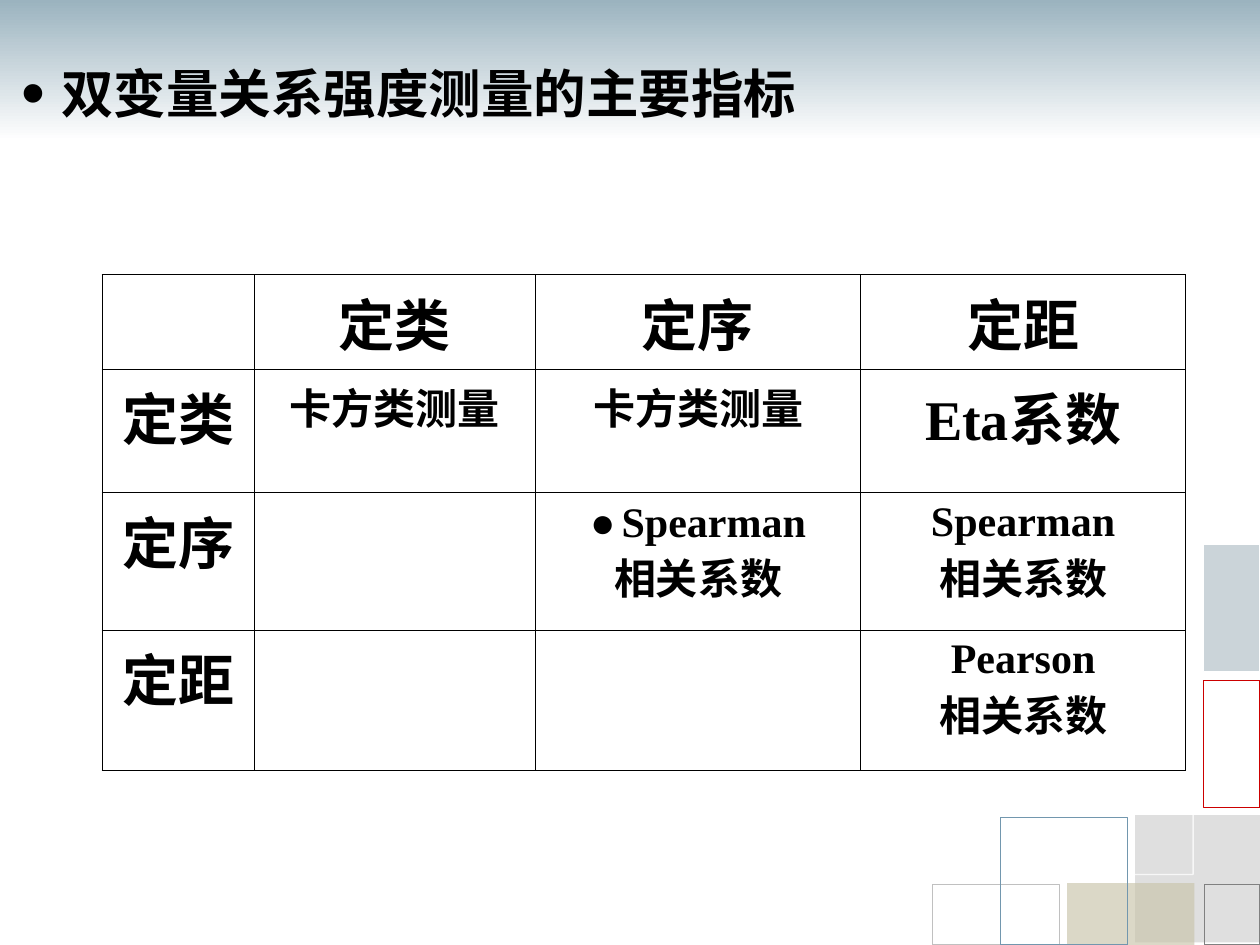
"""Build a slide with a table of measures of association between two variables."""
from lxml.etree import SubElement
from pptx import Presentation
from pptx.dml.color import RGBColor
from pptx.enum.shapes import MSO_SHAPE
from pptx.enum.text import MSO_ANCHOR, PP_ALIGN
from pptx.oxml.ns import qn
from pptx.util import Pt

HAN = "Noto Sans CJK SC"
ROMAN = "Times New Roman"
tone = RGBColor.from_string


def write(para, text, size=32, face=HAN):
    run = para.add_run()
    run.text = text
    font = run.font
    font.size, font.name, font.bold = Pt(size), face, True
    font.color.rgb = tone("000000")
    SubElement(font._element, qn("a:ea"), typeface=face)


def fade(fill, alpha):
    color = fill._xPr.find(qn("a:solidFill"))[0]
    SubElement(color, qn("a:alpha"), val=str(alpha * 1000))


deck = Presentation()
deck.slide_width, deck.slide_height = Pt(720), Pt(540)
slide = deck.slides.add_slide(deck.slide_layouts[6])
shapes = slide.shapes

# left, top, width, height, gradient, fill, fill alpha, line, line alpha, weight
boxes = [
    (-0.72, -0.72, 720, 80.64, ("FFFFFF", "C0CFD6"), None, 100, None, 100, 0),
    (0, 0, 720, 80.64, ("9BB3BF", "FFFFFF"), None, 100, None, 100, 0),
    (688.3, 505.4, 31.7, 34.6, None, None, 100, "808080", 100, 0.75),
    (648.7, 465.8, 72.7, 72.7, None, "808080", 25, None, 100, 0),
    (609.8, 504.7, 72.7, 35.3, None, "C9C5AB", 66, None, 100, 0),
    (687.6, 388.8, 32.4, 72.7, None, None, 100, "CC0000", 100, 0.79),
    (532.8, 505.4, 72.7, 34.6, None, None, 100, "C0C0C0", 100, 0.75),
    (609.1, 427, 72.7, 72.7, None, None, 100, "FFFFFF", 76, 0.75),
    (687.6, 311, 32.4, 72.7, None, "46667A", 28, "FFFFFF", 100, 0.75),
    (571.7, 467.3, 72.7, 72.7, None, None, 100, "7297AE", 100, 0.75),
]
for left, top, wide, high, blend, fill, clear, line, thin, weight in boxes:
    box = shapes.add_shape(MSO_SHAPE.RECTANGLE, Pt(left), Pt(top), Pt(wide), Pt(high))
    box.shadow.inherit = False
    if blend:
        box.fill.gradient()
        box.fill.gradient_angle = 270
        for stop, shade in zip(box.fill.gradient_stops, blend):
            stop.color.rgb = tone(shade)
    elif fill:
        box.fill.solid()
        box.fill.fore_color.rgb = tone(fill)
        fade(box.fill, clear)
    else:
        box.fill.background()
    if line:
        box.line.color.rgb = tone(line)
        box.line.width = Pt(weight)
        fade(box.line.fill, thin)
    else:
        box.line.fill.background()

title = shapes.add_textbox(Pt(5), Pt(18.7), Pt(632.9), Pt(72.7)).text_frame
title.word_wrap = True
title.vertical_anchor = MSO_ANCHOR.MIDDLE
title.margin_top = title.margin_bottom = 0
head = title.paragraphs[0]
props = head._p.get_or_add_pPr()
props.set("marL", str(Pt(23)))
props.set("indent", str(-Pt(23)))
color = SubElement(props, qn("a:buClr"))
SubElement(color, qn("a:srgbClr"), val="000000")
SubElement(props, qn("a:buSzPct"), val="130000")
SubElement(props, qn("a:buFont"), typeface="Arial")
SubElement(props, qn("a:buChar"), char="•")
head.line_spacing = 0.88
write(head, "双变量关系强度测量的主要指标", size=30, face="Arial")

kinds = ["定类", "定序", "定距"]
chi = [[("卡方类测量", 24, HAN)]]
factor = [("相关系数", 24, HAN)]
rank = ("Spearman", 24, ROMAN)
labels = [[[(kind, 32, HAN)]] for kind in kinds]
eta = [[("Eta", 32, ROMAN), ("系数", 32, HAN)]]
dot = [("●", 24, "Arial"), (" ", 14, ROMAN), rank]
grid = [
    [[], *labels],
    [labels[0], chi, chi, eta],
    [labels[1], [], [dot, factor], [[rank], factor]],
    [labels[2], [], [], [[("Pearson", 24, ROMAN)], factor]],
]
table = shapes.add_table(4, 4, Pt(58.3), Pt(157), Pt(619.2), Pt(283.4)).table
table.first_row = table.horz_banding = False
for col, wide in zip(table.columns, (87.1, 160.6, 185.8, 185.8)):
    col.width = Pt(wide)
for row, high in zip(table.rows, (54, 70.6, 78.5, 80.3)):
    row.height = Pt(high)
for row, cells in zip(table.rows, grid):
    for cell, lines in zip(row.cells, cells):
        edges = cell._tc.get_or_add_tcPr()
        for side in ("lnL", "lnR", "lnT", "lnB"):
            edge = SubElement(edges, qn("a:" + side), w=str(Pt(0.45)))
            solid = SubElement(edge, qn("a:solidFill"))
            SubElement(solid, qn("a:srgbClr"), val="000000")
        cell.fill.background()
        frame = cell.text_frame
        for at, runs in enumerate(lines):
            para = frame.add_paragraph() if at else frame.paragraphs[0]
            para.alignment = PP_ALIGN.CENTER
            for text, size, face in runs:
                write(para, text, size=size, face=face)

deck.save("out.pptx")
